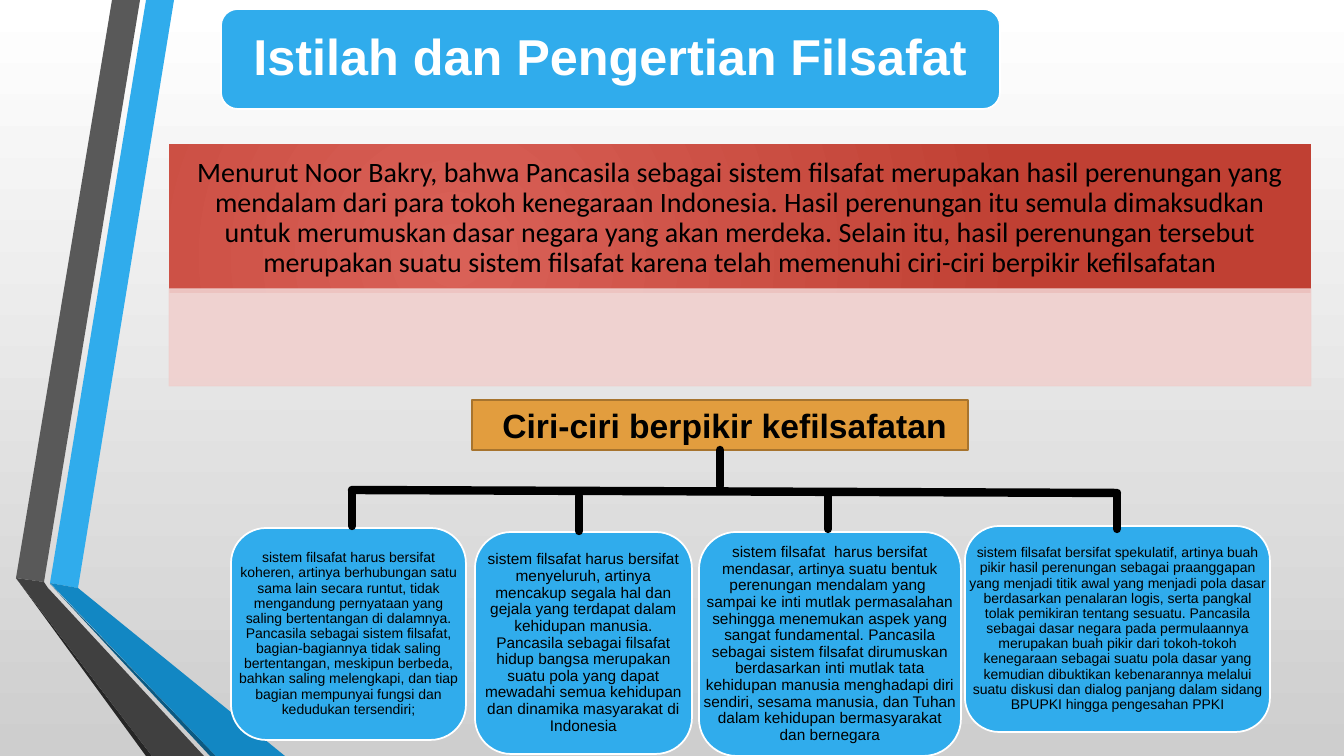
from lxml.etree import SubElement
from pptx import Presentation
from pptx.dml.color import RGBColor
from pptx.enum.shapes import MSO_CONNECTOR as Connector, MSO_SHAPE as Shape
from pptx.enum.text import MSO_ANCHOR as Anchor, MSO_AUTO_SIZE as AutoSize, PP_ALIGN as Align
from pptx.oxml.ns import qn
from pptx.util import Emu, Pt

EMU_PER_PX = 914400 / 100.8
COLORS = {
    "white": "FFFFFF", "black": "000000", "backdrop": "CECECE",
    "blue": "30ACEC", "blue_mid": "1287C3", "blue_dark": "0C5A82",
    "gray": "595959", "gray_mid": "404040", "gray_dark": "262626",
    "red_light": "D96157", "red": "C04033", "pink": "F0D0CE",
    "orange": "E29D3E", "brown": "A7742E",
}

RIBBONS = [
    ("blue", [(50, 583), (78, 588), (174, 0), (146, 0)]),
    ("gray", [(140, 0), (112, 0), (16, 578), (44, 582)]),
    ("gray_dark", [(16, 578), (146, 756), (152, 756)]),
    ("blue_dark", [(50, 584), (210, 756), (216, 756)]),
    ("blue_mid", [(50, 583), (216, 756), (285, 756), (78, 588)]),
    ("gray_mid", [(204, 756), (48, 588), (44, 582), (16, 578), (152, 756)]),
]

TITLE = "Istilah dan Pengertian Filsafat"
INTRO = (
    "Menurut Noor Bakry, bahwa Pancasila sebagai sistem filsafat merupakan hasil perenungan yang "
    "mendalam dari para tokoh kenegaraan Indonesia. Hasil perenungan itu semula dimaksudkan untuk "
    "merumuskan dasar negara yang akan merdeka. Selain itu, hasil perenungan tersebut merupakan "
    "suatu sistem filsafat karena telah memenuhi ciri-ciri berpikir kefilsafatan"
)
# frame, text size, text
TRAITS = [
    ((231, 528, 235, 212), 10,
     "sistem filsafat harus bersifat koheren, artinya berhubungan satu sama lain secara runtut, "
     "tidak mengandung pernyataan yang saling bertentangan di dalamnya. Pancasila sebagai sistem "
     "filsafat, bagian-bagiannya tidak saling bertentangan, meskipun berbeda, bahkan saling "
     "melengkapi, dan tiap bagian mempunyai fungsi dan kedudukan tersendiri;"),
    ((475, 532, 217, 222), 11,
     "sistem filsafat harus bersifat menyeluruh, artinya mencakup segala hal dan gejala yang "
     "terdapat dalam kehidupan manusia. Pancasila sebagai filsafat hidup bangsa merupakan suatu "
     "pola yang dapat mewadahi semua kehidupan dan dinamika masyarakat di Indonesia"),
    ((699, 532, 262, 224), 11,
     "sistem filsafat  harus bersifat mendasar, artinya suatu bentuk perenungan mendalam yang  "
     "sampai ke inti mutlak permasalahan sehingga menemukan aspek yang sangat fundamental. "
     "Pancasila sebagai sistem filsafat dirumuskan berdasarkan inti mutlak tata kehidupan manusia "
     "menghadapi diri sendiri, sesama manusia, dan Tuhan dalam kehidupan bermasyarakat dan bernegara"),
    ((965, 526, 305, 206), 10,
     "sistem filsafat bersifat spekulatif, artinya buah pikir hasil perenungan sebagai praanggapan "
     "yang menjadi titik awal yang menjadi pola dasar berdasarkan penalaran logis, serta pangkal "
     "tolak pemikiran tentang sesuatu. Pancasila sebagai dasar negara pada permulaannya merupakan "
     "buah pikir dari tokoh-tokoh kenegaraan sebagai suatu pola dasar yang kemudian dibuktikan "
     "kebenarannya melalui suatu diskusi dan dialog panjang dalam sidang BPUPKI hingga pengesahan PPKI"),
]
RAIL = (352, 490, 1117, 493)
DROP_HEIGHT = 35
DROPS = [(352, 491), (579, 496), (828, 494), (1117, 494)]


def px(count):
    return Emu(round(count * EMU_PER_PX))


def rgb(name):
    return RGBColor.from_string(COLORS[name])


def paint(shape, fill, line=None, line_width=1.25):
    shape.shadow.inherit = False
    shape.fill.solid()
    shape.fill.fore_color.rgb = rgb(fill)
    if line:
        shape.line.color.rgb = rgb(line)
        shape.line.width = Pt(line_width)
    else:
        shape.line.fill.background()


def set_gradient(fill, start, end):
    fill.gradient()
    for stop, name in zip(fill.gradient_stops, (start, end)):
        stop.color.rgb = rgb(name)


def make_radial(shape):
    """Turn the linear gradient of the shape into a circular one."""
    gradient = shape._element.spPr.find(qn("a:gradFill"))
    gradient.remove(gradient.find(qn("a:lin")))
    circle = SubElement(gradient, qn("a:path"), path="circle")
    SubElement(circle, qn("a:fillToRect"), l="50000", t="100000", r="100000", b="50000")


def set_opacity(shape, percent):
    for color in shape._element.spPr.iter(qn("a:srgbClr")):
        SubElement(color, qn("a:alpha"), val=str(percent * 1000))


def add_ribbon(page, color, points):
    builder = page.shapes.build_freeform(*points[0], scale=EMU_PER_PX)
    builder.add_line_segments(points[1:], close=True)
    paint(builder.convert_to_shape(), color)


def add_panel(page, kind, frame, fill, line=None, line_width=1.25):
    panel = page.shapes.add_shape(kind, *map(px, frame))
    paint(panel, fill, line, line_width)
    return panel


def write(shape, text, size, font="Arial", color="black", bold=False, insets=(4, 4), spacing=0.9):
    frame = shape.text_frame
    frame.word_wrap = True
    frame.auto_size = AutoSize.NONE
    frame.vertical_anchor = Anchor.MIDDLE
    frame.margin_left = frame.margin_right = px(insets[0])
    frame.margin_top = frame.margin_bottom = px(insets[1])
    para = frame.paragraphs[0]
    para.text = text
    para.alignment = Align.CENTER
    para.line_spacing = spacing
    para.font.name = font
    para.font.size = Pt(size)
    para.font.bold = bold
    para.font.color.rgb = rgb(color)


def add_branch(page, x1, y1, x2, y2):
    branch = page.shapes.add_connector(Connector.STRAIGHT, px(x1), px(y1), px(x2), px(y2))
    branch.line.color.rgb = rgb("black")
    branch.line.width = Pt(6)
    branch.line._get_or_add_ln().set("cap", "rnd")
    SubElement(branch._element.spPr, qn("a:effectLst"))
    return branch


def add_intro(page):
    band = add_panel(page, Shape.RECTANGLE, (169, 144, 1142, 149), "red")
    set_gradient(band.fill, "red_light", "red")
    make_radial(band)
    write(band, INTRO, 20, font="Calibri", insets=(16, 9))
    strip = add_panel(page, Shape.RECTANGLE, (169, 289, 1142, 97), "pink", "pink", 0.75)
    set_opacity(strip, 90)


def add_traits(page):
    heading = add_panel(page, Shape.RECTANGLE, (472, 400, 496, 50), "orange", "brown")
    write(heading, " Ciri-ciri berpikir kefilsafatan", 24, bold=True, insets=(10, 5), spacing=1.0)
    for frame, size, text in TRAITS:
        add_panel(page, Shape.ROUNDED_RECTANGLE, frame, "blue", "white")
        write(page.shapes.add_textbox(*map(px, frame)), text, size)
    stem = add_branch(page, 720, 450, 720, 486)
    stem.begin_connect(heading, 2)
    add_branch(page, *RAIL)
    for x, y in DROPS:
        add_branch(page, x, y, x, y + DROP_HEIGHT)


def add_title(page):
    frame = (221, 9, 779, 100)
    add_panel(page, Shape.ROUNDED_RECTANGLE, frame, "blue", "white")
    title = page.shapes.title
    title.left, title.top, title.width, title.height = map(px, frame)
    write(title, TITLE, 36, color="white", bold=True, insets=(15, 15))
    page.shapes._spTree.append(title._element)  # bring to front


def main():
    deck = Presentation()
    deck.slide_width, deck.slide_height = px(1344), px(756)
    page = deck.slides.add_slide(deck.slide_layouts[5])
    backdrop = page.background.fill
    set_gradient(backdrop, "white", "backdrop")
    backdrop.gradient_angle = 270
    for color, points in RIBBONS:
        add_ribbon(page, color, points)
    add_intro(page)
    add_traits(page)
    add_title(page)
    deck.save("out.pptx")


if __name__ == "__main__":
    main()
